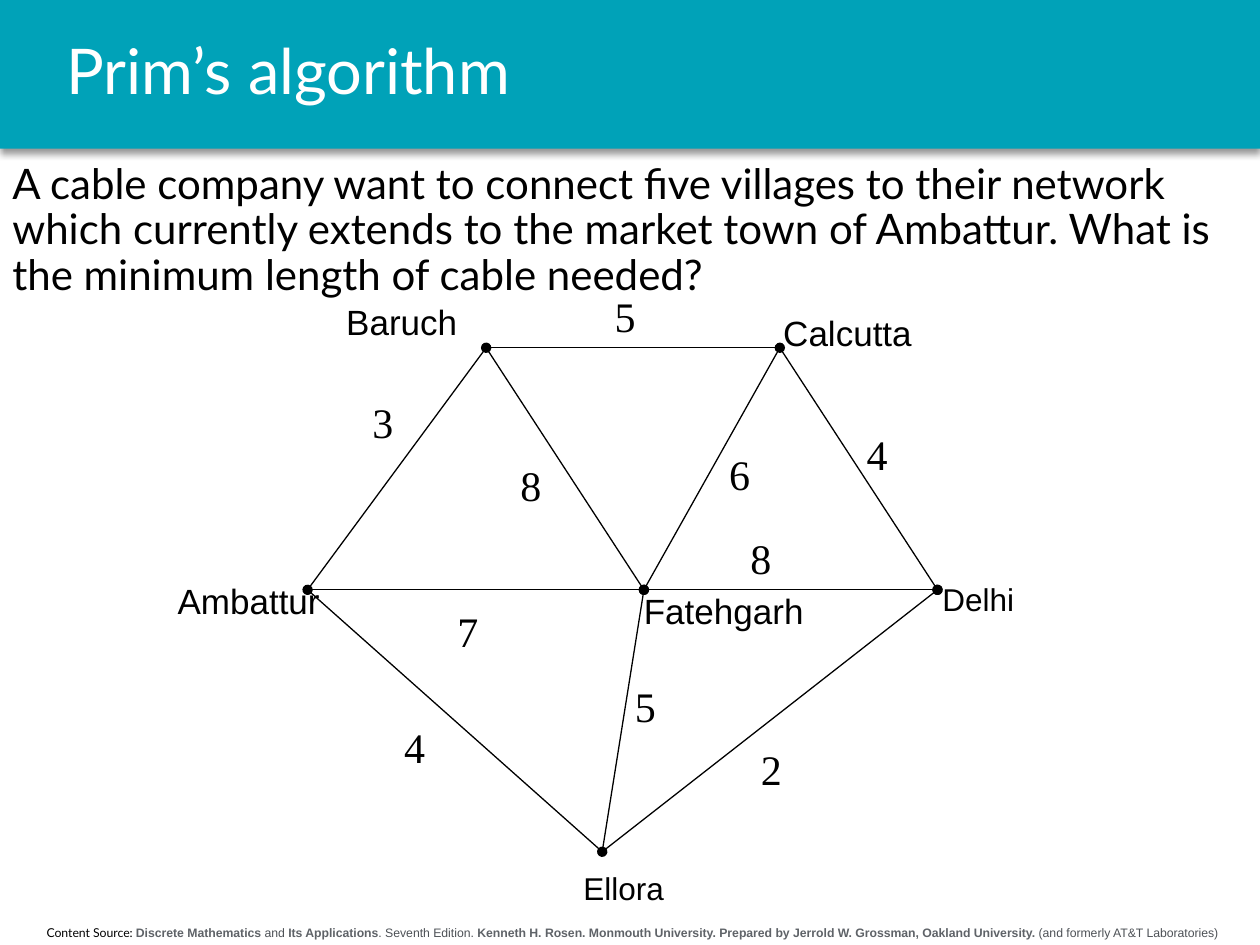
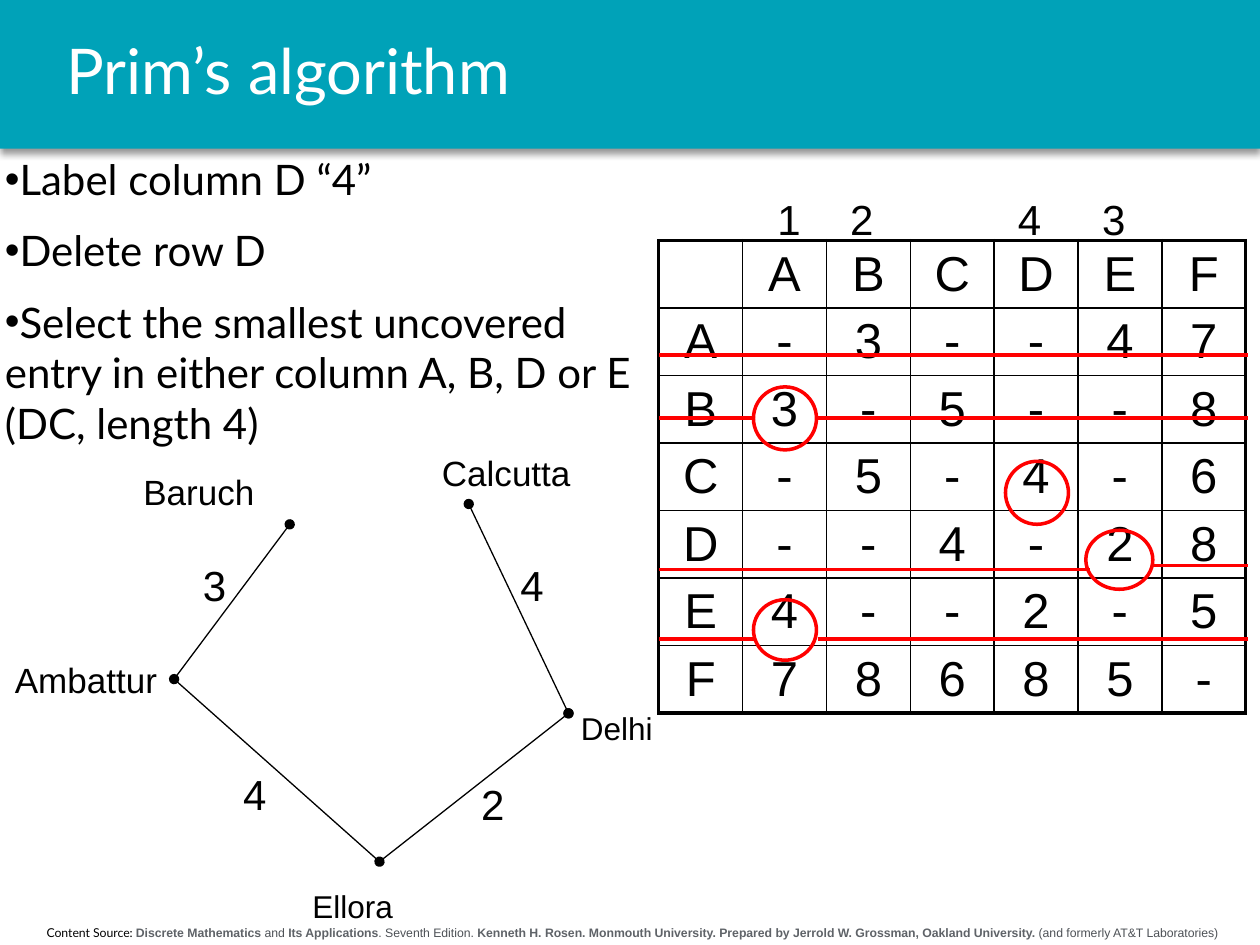
from dataclasses import dataclass

from lxml import etree
from pptx import Presentation
from pptx.dml.color import RGBColor
from pptx.enum import shapes, text
from pptx.oxml.ns import qn
from pptx.util import Cm, Pt


@dataclass(frozen=True)
class Theme:
    band: str = "00A2B8"
    white: str = "FFFFFF"
    ink: str = "000000"
    mark: str = "FF0000"
    footer_bold: str = "5F6368"
    footer_plain: str = "4D5156"
    heading_font: str = "Lato"
    label_font: str = "Arial"
    number_font: str = "Times New Roman"
    title_size: int = 36
    body_size: int = 24
    table_size: int = 28
    footer_size: int = 7
    edge_width: float = 0.75
    mark_width: float = 2
    outer_border: float = 2.25
    inner_border: float = 1


THEME = Theme()

FOOTER = [
    ("Content Source: ", THEME.heading_font, THEME.ink, False),
    ("Discrete Mathematics", THEME.label_font, THEME.footer_bold, True),
    (" and ", THEME.label_font, THEME.footer_plain, False),
    ("Its Applications", THEME.label_font, THEME.footer_bold, True),
    (". Seventh Edition. ", THEME.label_font, THEME.footer_plain, False),
    ("Kenneth H. Rosen. Monmouth University. Prepared by Jerrold W. Grossman, "
     "Oakland University.", THEME.label_font, THEME.footer_bold, True),
    (" (and formerly AT&T Laboratories)", THEME.label_font, THEME.footer_plain, False),
]

LABEL_STYLES = {
    "Ambattur": (3.4, 20),
    "Baruch": (3.28, 20),
    "Calcutta": (3.61, 20),
    "Delhi": (3.84, 18),
    "Ellora": (2.64, 18),
    "Fatehgarh": (4.8, 20),
}

NETWORK_TOWNS = {
    "Ambattur": ((6.2, 11.89), (3.33, 11.56)),
    "Fatehgarh": ((12.98, 11.89), (12.73, 11.76)),
    "Baruch": ((9.8, 7.01), (6.73, 5.94)),
    "Calcutta": ((15.72, 7.01), (15.54, 6.15)),
    "Delhi": ((18.9, 11.89), (18.75, 11.56)),
    "Ellora": ((12.14, 17.17), (11.51, 17.4)),
}
BOTH_ENDS = ("headEnd", "tailEnd")
FAR_END = ("tailEnd",)
NO_DOTS = ()
NETWORK_EDGES = [
    ("Ambattur", "Baruch", BOTH_ENDS, 3, (7.26, 7.87)),
    ("Baruch", "Calcutta", FAR_END, 5, (12.14, 5.74)),
    ("Calcutta", "Delhi", FAR_END, 4, (17.22, 8.51)),
    ("Ambattur", "Fatehgarh", NO_DOTS, 7, (8.97, 12.09)),
    ("Fatehgarh", "Delhi", NO_DOTS, 8, (14.88, 10.62)),
    ("Baruch", "Fatehgarh", FAR_END, 8, (10.24, 9.14)),
    ("Fatehgarh", "Calcutta", NO_DOTS, 6, (14.45, 8.92)),
    ("Ambattur", "Ellora", NO_DOTS, 4, (7.9, 14.43)),
    ("Ellora", "Fatehgarh", BOTH_ENDS, 5, (12.55, 13.59)),
    ("Ellora", "Delhi", FAR_END, 2, (15.09, 14.86)),
]

TREE_TOWNS = {
    "Ambattur": ((3.51, 13.69), (0.05, 13.16)),
    "Baruch": ((5.84, 10.57), (2.64, 9.37)),
    "Ellora": ((7.65, 17.37), (6.05, 17.75)),
    "Delhi": ((11.46, 14.38), (11.46, 14.17)),
    "Calcutta": ((9.45, 10.16), (8.66, 8.97)),
}
TREE_EDGES = [
    ("Ambattur", "Baruch", BOTH_ENDS, 3, (3.84, 11.15)),
    ("Ambattur", "Ellora", FAR_END, 4, (4.65, 15.37)),
    ("Ellora", "Delhi", FAR_END, 2, (9.45, 15.57)),
    ("Calcutta", "Delhi", BOTH_ENDS, 4, (10.24, 11.15)),
]

TOWN_LETTERS = "ABCDEF"
DISTANCES = ["-3--47", "3-5--8", "-5-4-6", "--4-28", "4--2-5", "78685-"]
TABLE_LEFT, TABLE_TOP, TABLE_RIGHT = 13.28, 4.85, 25.15
COLUMN_WIDTH, ROW_HEIGHT = 1.69, 1.36
COLUMN_ORDER = [(1, 15.42), (2, 16.89), (4, 20.27), (3, 21.97)]
DELETED_ROWS = [
    (TABLE_LEFT, TABLE_RIGHT, 7.16),
    (TABLE_LEFT, 15.19, 8.43),
    (16.46, TABLE_RIGHT, 8.43),
    (TABLE_LEFT, 21.97, 11.48),
    (23.24, TABLE_RIGHT, 11.4),
    (TABLE_LEFT, 15.19, 12.88),
    (16.48, TABLE_RIGHT, 12.88),
]
CHOSEN_ENTRIES = [
    (15.19, 7.8, 1.27, 1.27),
    (15.19, 12.09, 1.27, 1.22),
    (21.89, 10.69, 1.35, 1.19),
    (20.27, 9.3, 1.27, 1.27),
]


def rgb(color):
    return RGBColor.from_string(color)


def style_font(font, name, size, color=THEME.ink, bold=False):
    font.name = name
    font.size = Pt(size)
    font.color.rgb = rgb(color)
    font.bold = bold


def add_text(page, left, top, width, height, content, name, size):
    box = page.shapes.add_textbox(Cm(left), Cm(top), Cm(width), Cm(height))
    frame = box.text_frame
    frame.word_wrap = True
    frame.text = content
    for para in frame.paragraphs:
        for span in para.runs:
            style_font(span.font, name, size)
    return box


def add_label(page, spot, width, content, name, size):
    return add_text(page, *spot, width, 0.25 + 0.042 * size, content, name, size)


def add_line(page, start, end, color, width, dots=NO_DOTS):
    line = page.shapes.add_connector(
        shapes.MSO_CONNECTOR.STRAIGHT, *(Cm(value) for value in (*start, *end)))
    line.line.color.rgb = rgb(color)
    line.line.width = Pt(width)
    properties = line.element.spPr
    for dot in dots:
        etree.SubElement(properties.find(qn("a:ln")), qn(f"a:{dot}"), type="oval")
    etree.SubElement(properties, qn("a:effectLst"))


def add_graph(page, towns, edges, number_font):
    for start, end, dots, weight, spot in edges:
        add_line(page, towns[start][0], towns[end][0],
                 THEME.ink, THEME.edge_width, dots)
        add_label(page, spot, 1.27, str(weight), number_font, THEME.body_size)
    for town, (_, spot) in towns.items():
        width, size = LABEL_STYLES[town]
        add_label(page, spot, width, town, THEME.label_font, size)


def add_band(page):
    band = page.shapes.add_shape(
        shapes.MSO_SHAPE.RECTANGLE, 0, 0, Cm(25.4), Cm(3))
    band.fill.solid()
    band.fill.fore_color.rgb = rgb(THEME.band)
    band.line.fill.background()
    band.shadow.inherit = False
    effects = band.element.spPr.find(qn("a:effectLst"))
    shadow = etree.SubElement(effects, qn("a:outerShdw"), blurRad=str(Pt(4)),
                              dist=str(Pt(3)), dir="5400000", rotWithShape="0")
    shade = etree.SubElement(shadow, qn("a:srgbClr"), val=THEME.ink)
    etree.SubElement(shade, qn("a:alpha"), val="40000")
    return band


def add_footer(page):
    box = page.shapes.add_textbox(Cm(0.1), Cm(18.52), Cm(25.3), Cm(0.55))
    box.text_frame.word_wrap = True
    para = box.text_frame.paragraphs[0]
    para.alignment = text.PP_ALIGN.CENTER
    for content, name, color, bold in FOOTER:
        span = para.add_run()
        span.text = content
        style_font(span.font, name, THEME.footer_size, color, bold)
    return box


def share_on_layout(layout, parts):
    for position, part in enumerate(parts):
        part.element.xpath(".//p:cNvPr")[0].set("id", str(100 + position))
        layout.shapes.element.insert(2 + position, part.element)


def add_page(deck, layout, heading):
    page = deck.slides.add_slide(layout)
    title = page.shapes.title
    title.left, title.top, title.width, title.height = Cm(1.09), 0, Cm(23.62), Cm(3)
    frame = title.text_frame
    frame.text = heading
    frame.auto_size = text.MSO_AUTO_SIZE.NONE
    frame.vertical_anchor = text.MSO_ANCHOR.MIDDLE
    para = frame.paragraphs[0]
    para.alignment = text.PP_ALIGN.LEFT
    para.line_spacing = 0.9
    style_font(para.runs[0].font, THEME.heading_font, THEME.title_size, THEME.white)
    return page


def add_steps(page, steps):
    box = add_text(page, -0.15, 2.97, 13.23, 6.4, "\n".join(steps),
                   THEME.heading_font, THEME.body_size)
    for position, para in enumerate(box.text_frame.paragraphs):
        properties = para._p.get_or_add_pPr()
        etree.SubElement(properties, qn("a:buFont"), typeface=THEME.label_font)
        etree.SubElement(properties, qn("a:buChar"), char="•")
        if position:
            para.space_before = Pt(12)


def set_border(cell, side, width):
    line = etree.SubElement(cell._tc.get_or_add_tcPr(), qn(f"a:ln{side}"),
                            w=str(Pt(width)))
    fill = etree.SubElement(line, qn("a:solidFill"))
    etree.SubElement(fill, qn("a:srgbClr"), val=THEME.ink)


def add_distance_table(page):
    rows = [" " + TOWN_LETTERS]
    rows += [letter + row for letter, row in zip(TOWN_LETTERS, DISTANCES)]
    count = len(rows)
    table = page.shapes.add_table(
        count, count, Cm(TABLE_LEFT), Cm(TABLE_TOP),
        Cm(COLUMN_WIDTH * count), Cm(ROW_HEIGHT * count)).table
    table.first_row = table.horz_banding = False
    for index, row in enumerate(rows):
        table.columns[index].width = Cm(COLUMN_WIDTH)
        table.rows[index].height = Cm(ROW_HEIGHT)
        for column, entry in enumerate(row):
            cell = table.cell(index, column)
            cell.margin_top = cell.margin_bottom = Cm(0.1)
            cell.vertical_anchor = text.MSO_ANCHOR.MIDDLE
            cell.text = entry.strip()
            para = cell.text_frame.paragraphs[0]
            para.alignment = text.PP_ALIGN.CENTER
            style_font(para.font, THEME.label_font, THEME.table_size)
            for span in para.runs:
                style_font(span.font, THEME.label_font, THEME.table_size)
            outer_sides = {"L": column == 0, "R": column == count - 1,
                           "T": index == 0, "B": index == count - 1}
            for side, outer in outer_sides.items():
                set_border(cell, side,
                           THEME.outer_border if outer else THEME.inner_border)
            cell.fill.background()


def add_ring(page, *bounds):
    ring = page.shapes.add_shape(
        shapes.MSO_SHAPE.OVAL, *(Cm(value) for value in bounds))
    ring.shadow.inherit = False
    ring.fill.background()
    ring.line.color.rgb = rgb(THEME.mark)
    ring.line.width = Pt(THEME.mark_width)


def build_network_page(page):
    question = add_text(
        page, 0, 3.07, 24.92, 3.18,
        "A cable company want to connect five villages to their network which "
        "currently extends to the market town of Ambattur. What is the minimum "
        "length of cable needed?", THEME.heading_font, THEME.body_size)
    question.text_frame.vertical_anchor = text.MSO_ANCHOR.MIDDLE
    question.text_frame.paragraphs[0].line_spacing = 0.9
    add_graph(page, NETWORK_TOWNS, NETWORK_EDGES, THEME.number_font)


def build_table_page(page):
    add_distance_table(page)
    for order, left in COLUMN_ORDER:
        add_label(page, (left, 3.78), 1.27, str(order),
                  THEME.label_font, THEME.body_size)
    for left, right, height in DELETED_ROWS:
        add_line(page, (left, height), (right, height), THEME.mark, THEME.mark_width)
    for bounds in CHOSEN_ENTRIES:
        add_ring(page, *bounds)
    add_steps(page, [
        "Label column D “4”",
        "Delete row D",
        "Select the smallest uncovered entry in either column A, B, D or E "
        "(DC, length 4)",
    ])
    add_graph(page, TREE_TOWNS, TREE_EDGES, THEME.label_font)


def main():
    deck = Presentation()
    deck.slide_width, deck.slide_height = Cm(25.4), Cm(19.05)
    layout = deck.slide_layouts.get_by_name("Title Only")
    network_page, table_page = (
        add_page(deck, layout, "Prim’s algorithm") for _ in range(2))
    share_on_layout(layout, [add_band(network_page), add_footer(network_page)])
    build_network_page(network_page)
    build_table_page(table_page)
    deck.save("out.pptx")


if __name__ == "__main__":
    main()
